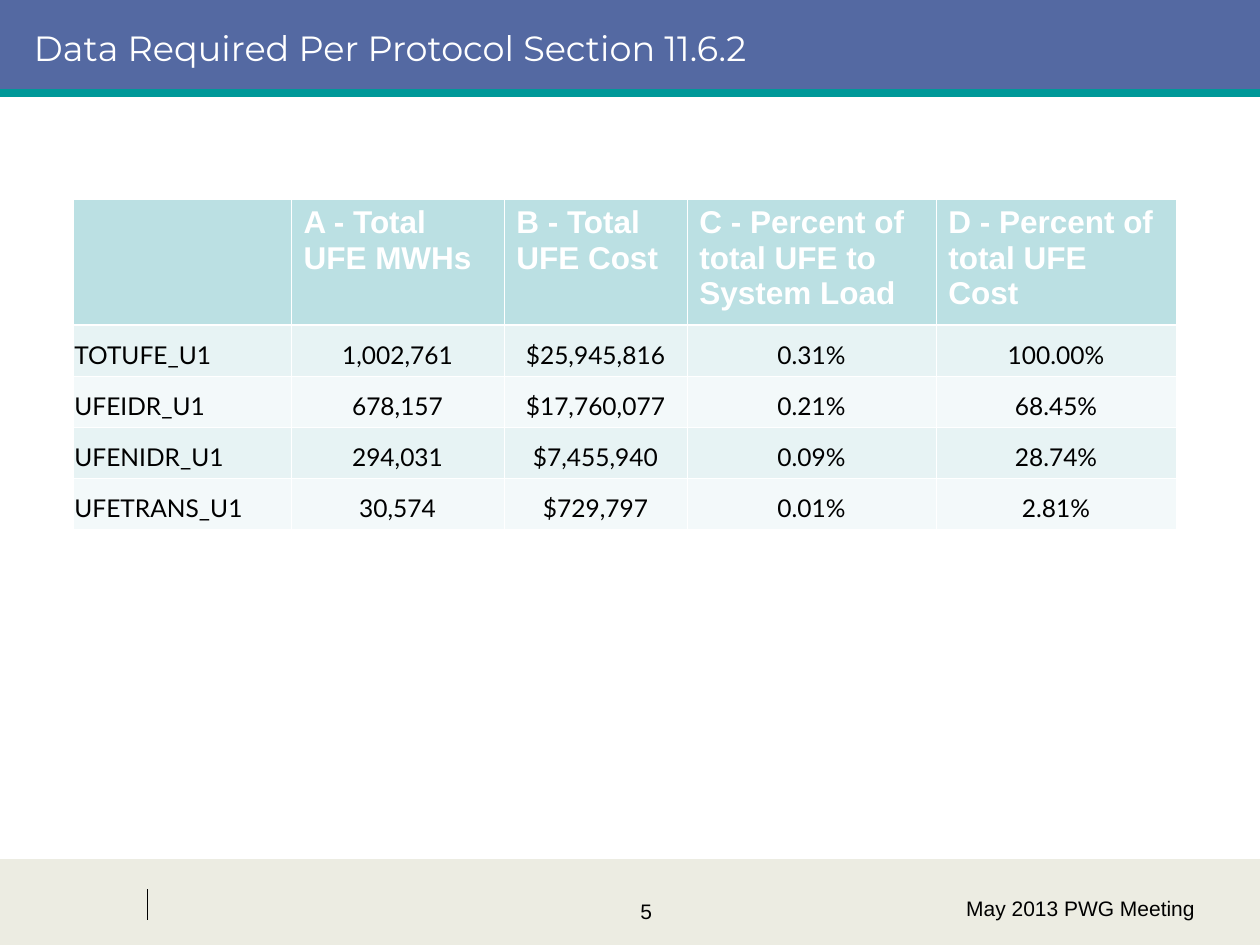
from lxml import etree
from pptx import Presentation
from pptx import util as u
from pptx.dml.color import RGBColor
from pptx.enum import shapes, text
from pptx.oxml import ns

BLACK = RGBColor(0x00, 0x00, 0x00)
WHITE = RGBColor(0xFF, 0xFF, 0xFF)
BANNER_BLUE = RGBColor(0x54, 0x69, 0xA2)
RULE_TEAL = RGBColor(0x00, 0x99, 0x99)
FOOTER_BEIGE = RGBColor(0xEC, 0xEC, 0xE2)
HEADER_AQUA = RGBColor(0xBB, 0xE0, 0xE3)
ROW_TINTS = (RGBColor(0xE7, 0xF3, 0xF4), RGBColor(0xF3, 0xF9, 0xFA))

COLUMN_WIDTHS = (4.4, 4.29, 3.69, 5.02, 4.84)
HEADER_HEIGHT, ROW_HEIGHT = 2.54, 1.03
UFE_ROWS = (
    ("", "A - Total UFE MWHs", "B - Total UFE Cost",
     "C - Percent of total UFE to System Load", "D - Percent of total UFE Cost"),
    ("TOTUFE_U1", "1,002,761", "$25,945,816", "0.31%", "100.00%"),
    ("UFEIDR_U1", "678,157", "$17,760,077", "0.21%", "68.45%"),
    ("UFENIDR_U1", "294,031", "$7,455,940", "0.09%", "28.74%"),
    ("UFETRANS_U1", "30,574", "$729,797", "0.01%", "2.81%"),
)


def style_text(frame, font_name, size, color, align, bold=False):
    """Format the first paragraph of a text frame and its runs."""
    paragraph = frame.paragraphs[0]
    paragraph.alignment = align
    for run in paragraph.runs:
        run.font.name, run.font.size, run.font.bold = font_name, u.Pt(size), bold
        run.font.color.rgb = color


def add_band(slide, left, top, width, height, color):
    """Add a plain filled rectangle."""
    band = slide.shapes.add_shape(shapes.MSO_SHAPE.RECTANGLE, u.Cm(left), u.Cm(top),
                                  u.Cm(width), u.Cm(height))
    band.shadow.inherit = False
    band.fill.solid()
    band.fill.fore_color.rgb = color
    band.line.fill.background()


def add_rule(slide, x1, y1, x2, y2, color, weight):
    """Add a straight line without shadow."""
    rule = slide.shapes.add_connector(shapes.MSO_CONNECTOR.STRAIGHT, u.Cm(x1), u.Cm(y1),
                                      u.Cm(x2), u.Cm(y2))
    rule.line.color.rgb = color
    rule.line.width = u.Pt(weight)
    etree.SubElement(rule._element.spPr, ns.qn("a:effectLst"))


def add_footer_text(slide, left, top, wording, align):
    """Add one small footer label."""
    label = slide.shapes.add_textbox(u.Cm(left), u.Cm(top), u.Cm(6.99), u.Cm(1.27))
    label.text_frame.word_wrap = True
    label.text_frame.text = wording
    style_text(label.text_frame, "Arial", 12, BLACK, align)


def build_banner(slide, left, top, width, height):
    """Build the blue title banner with its teal rule."""
    add_band(slide, left, top, width, height, BANNER_BLUE)
    rule_y = top + height - 0.02
    add_rule(slide, left, rule_y, left + width, rule_y, RULE_TEAL, 4.5)
    title = slide.shapes.title
    slide.shapes._spTree.append(title._element)
    title.left, title.top = u.Cm(left + 0.43), u.Cm(top)
    title.width, title.height = u.Cm(width - 1.27), u.Cm(height)
    title.text_frame.text = "Data Required Per Protocol Section 11.6.2"
    title.text_frame.auto_size = text.MSO_AUTO_SIZE.NONE
    title.text_frame.vertical_anchor = text.MSO_ANCHOR.MIDDLE
    style_text(title.text_frame, "Montserrat", 20, WHITE, text.PP_ALIGN.LEFT)


def build_footer(slide, left, top, width, height):
    """Build the beige footer with page number and meeting name."""
    add_band(slide, left, top, width, height, FOOTER_BEIGE)
    add_rule(slide, left + 2.97, top + 0.61, left + 2.97, top + 1.22, BLACK, 0.75)
    add_footer_text(slide, left + 9.53, top + 0.66, "5", text.PP_ALIGN.CENTER)
    add_footer_text(slide, left + 17.35, top + 0.61, "May 2013 PWG Meeting",
                    text.PP_ALIGN.RIGHT)


def set_borders(cell, top_weight, bottom_weight):
    """Give a table cell white borders."""
    weights = {"lnL": 0.45, "lnR": 0.45, "lnT": top_weight, "lnB": bottom_weight}
    properties = cell._tc.get_or_add_tcPr()
    for position, (side, weight) in enumerate(weights.items()):
        border = etree.Element(ns.qn(f"a:{side}"), w=str(u.Pt(weight)))
        fill = etree.SubElement(border, ns.qn("a:solidFill"))
        etree.SubElement(fill, ns.qn("a:srgbClr"), val=str(WHITE))
        properties.insert(position, border)


def fill_cell(cell, row, column, wording):
    """Fill and format one cell according to its row and column."""
    is_header = row == 0
    cell.text = wording
    cell.margin_left = cell.margin_right = u.Cm(0.25 if is_header else 0.03)
    cell.margin_top = cell.margin_bottom = u.Cm(0.13)
    cell.fill.solid()
    if is_header:
        cell.fill.fore_color.rgb = HEADER_AQUA
        cell.vertical_anchor = text.MSO_ANCHOR.TOP
        style_text(cell.text_frame, "Arial", 18, WHITE, text.PP_ALIGN.LEFT, bold=True)
    else:
        cell.fill.fore_color.rgb = ROW_TINTS[(row - 1) % 2]
        cell.vertical_anchor = text.MSO_ANCHOR.BOTTOM
        align = text.PP_ALIGN.CENTER if column else text.PP_ALIGN.LEFT
        style_text(cell.text_frame, "Lato", 14, BLACK, align)
    set_borders(cell, 1.47 if row == 1 else 0.45, 1.47 if is_header else 0.45)


def build_ufe_table(slide, left, top):
    """Build the table of UFE totals and shares."""
    heights = [HEADER_HEIGHT] + [ROW_HEIGHT] * (len(UFE_ROWS) - 1)
    ufe_table = slide.shapes.add_table(
        len(heights), len(COLUMN_WIDTHS), u.Cm(left), u.Cm(top),
        u.Cm(sum(COLUMN_WIDTHS)), u.Cm(sum(heights))).table
    for column, width in zip(ufe_table.columns, COLUMN_WIDTHS):
        column.width = u.Cm(width)
    for row, (height, wordings) in enumerate(zip(heights, UFE_ROWS)):
        ufe_table.rows[row].height = u.Cm(height)
        for column, wording in enumerate(wordings):
            fill_cell(ufe_table.cell(row, column), row, column, wording)


def main():
    """Build and save the slide."""
    deck = Presentation()
    deck.slide_width, deck.slide_height = u.Cm(25.4), u.Cm(19.05)
    slide = deck.slides.add_slide(deck.slide_layouts[5])
    build_footer(slide, 0, 17.32, 25.4, 1.73)
    build_banner(slide, 0, 0, 25.4, 1.9)
    build_ufe_table(slide, 1.47, 4.01)
    deck.save("out.pptx")


if __name__ == "__main__":
    main()
